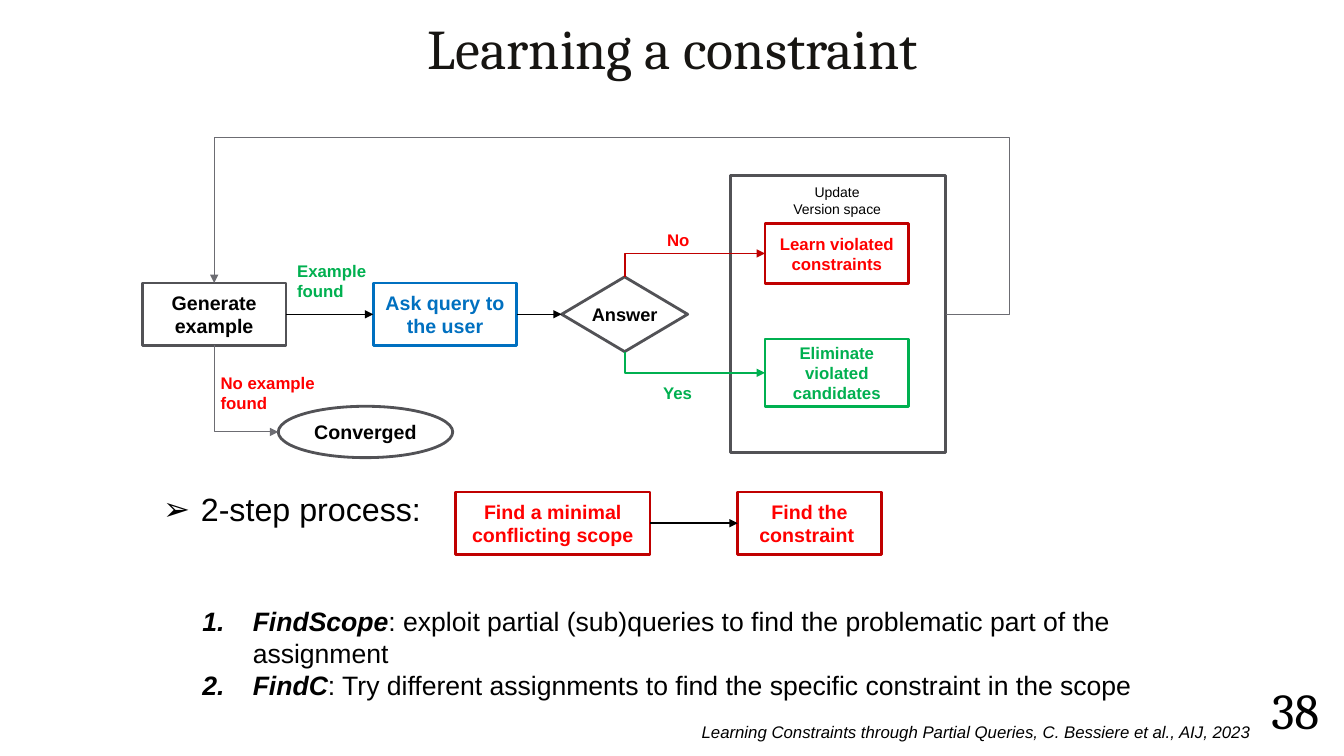
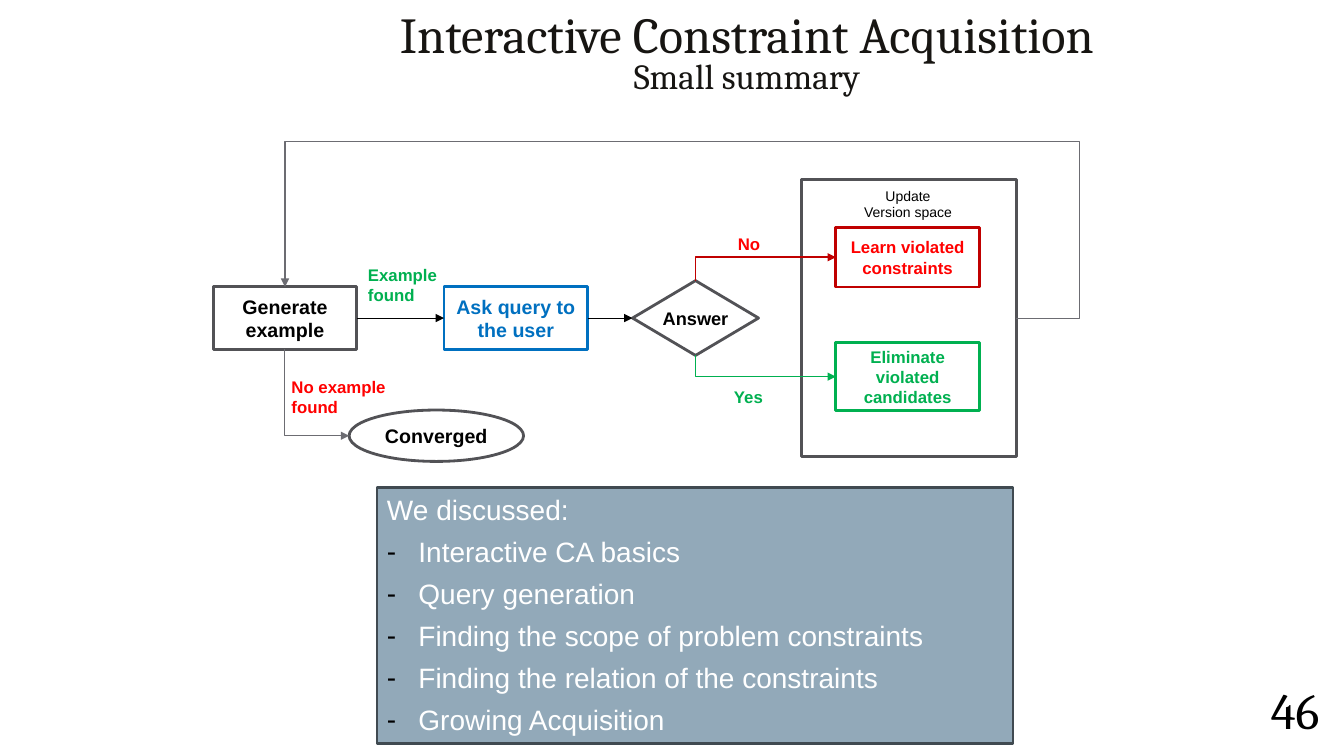
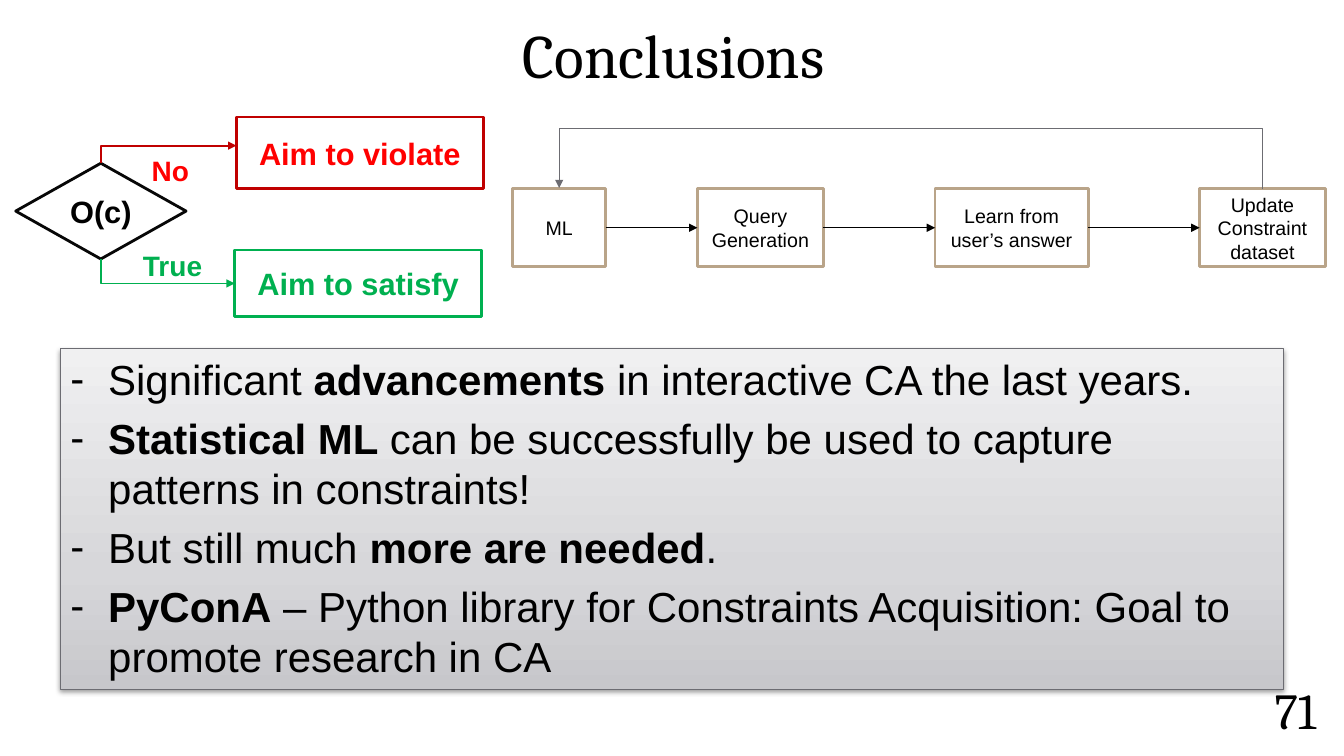
from copy import deepcopy
from dataclasses import dataclass
from itertools import pairwise
from typing import NamedTuple

from lxml.etree import SubElement as Sub
from pptx import Presentation
from pptx.dml.color import RGBColor as RGB
from pptx.enum.shapes import MSO_CONNECTOR as Link, MSO_SHAPE as Form
from pptx.enum.text import MSO_ANCHOR as Anchor, MSO_AUTO_SIZE as Fit, PP_ALIGN as Align
from pptx.oxml.ns import qn
from pptx.util import Pt

# Shared colours and faces
BLACK = RGB(0x00, 0x00, 0x00)
WHITE = RGB(0xFF, 0xFF, 0xFF)
INK = RGB(0x17, 0x15, 0x12)
COAL = RGB(0x07, 0x07, 0x07)
GRAY = RGB(0x52, 0x52, 0x56)
SMOKE = RGB(0x6C, 0x6C, 0x72)
BLUE = RGB(0x00, 0x70, 0xC0)
RED = RGB(0xFF, 0x00, 0x00)
WINE = RGB(0xC0, 0x00, 0x00)
GREEN = RGB(0x00, 0xB0, 0x50)
SAND = RGB(0xB9, 0xA4, 0x89)
STEEL = RGB(0x92, 0xA9, 0xB9)
SLATE = RGB(0x40, 0x4A, 0x51)
SHADES = ((0, RGB(0xC7, 0xC7, 0xCB)), (0.35, RGB(0xD7, 0xD7, 0xDA)), (1, RGB(0xF0, 0xF0, 0xF1)))
SANS, SERIF = "Arial", "Cambria"

TOP, LEFT, BASE, RIGHT = range(4)


class Area(NamedTuple):
    x: float
    y: float
    w: float
    h: float

    def move(self, dx: float, dy: float) -> "Area":
        return Area(self.x + dx, self.y + dy, self.w, self.h)


class Run(NamedTuple):
    text: str
    bold: bool = False
    slant: bool = False
    size: float = 0


class Style(NamedTuple):
    size: float
    color: RGB = BLACK
    bold: bool = False
    slant: bool = False
    face: str = SANS
    align: Align = Align.LEFT
    space: float = 1
    after: float = 0


class Mark(NamedTuple):
    indent: float
    sign: str = ""  # an empty sign means automatic numbers


@dataclass(frozen=True)
class Node:
    text: str
    area: Area
    line: RGB
    style: Style
    form: Form = Form.RECTANGLE
    fill: RGB | None = None
    wrap: bool = True


@dataclass(frozen=True)
class Label:
    text: str
    area: Area
    style: Style


@dataclass(frozen=True)
class Bend:
    preset: str
    turn: int
    flips: str
    adjust: tuple[float, ...] = ()


UP_RIGHT = Bend("bentConnector2", 90, "HV")
DOWN_RIGHT = Bend("bentConnector2", 270, "H")
LOOP = Bend("bentConnector4", 0, "HV", (-0.087, 5.65))
BACK = Bend("bentConnector3", 270, "V", (43.7,))


def bold(size: float, color: RGB = BLACK) -> Style:
    return Style(size, color, bold=True, align=Align.CENTER)


def tag(size: float, color: RGB) -> Style:
    return Style(size, color, bold=True)


# Text
def plain(text: str) -> list[list[Run]]:
    return [[Run(line)] for line in text.split("\n")]


def bullet(para, mark: Mark) -> None:
    props = para._p.get_or_add_pPr()
    props.set("marL", str(Pt(mark.indent)))
    props.set("indent", str(-Pt(mark.indent)))
    Sub(Sub(props, qn("a:buClr")), qn("a:srgbClr"), val=str(BLACK))
    Sub(props, qn("a:buFont"), typeface=SANS)
    if mark.sign:
        Sub(props, qn("a:buChar"), char=mark.sign)
    else:
        Sub(props, qn("a:buAutoNum"), type="arabicPeriod")


def write(frame, lines: list[list[Run]], style: Style, mark: Mark | None = None,
          skip: int = 0) -> None:
    for i, runs in enumerate(lines):
        para = frame.add_paragraph() if i else frame.paragraphs[0]
        if mark and i >= skip:
            bullet(para, mark)
        para.alignment = style.align
        para.line_spacing = style.space
        para.space_before = Pt(0)
        para.space_after = Pt(style.after)
        for item in runs:
            run = para.add_run()
            run.text = item.text
            font = run.font
            font.name = style.face
            font.size = Pt(item.size or style.size)
            font.color.rgb = style.color
            font.bold = style.bold or item.bold
            font.italic = style.slant or item.slant


def place(shape, area: Area) -> None:
    shape.left, shape.top, shape.width, shape.height = map(Pt, area)


def pad(frame, x: float, y: float) -> None:
    frame.margin_left = frame.margin_right = Pt(x)
    frame.margin_top = frame.margin_bottom = Pt(y)


def text_box(slide, area: Area, lines: list[list[Run]], style: Style,
             mark: Mark | None = None, wrap: bool = True):
    frame = slide.shapes.add_textbox(*map(Pt, area)).text_frame
    frame.word_wrap = wrap
    frame.auto_size = Fit.SHAPE_TO_FIT_TEXT
    write(frame, lines, style, mark)
    return frame


# Shapes
def draw(slide, node: Node):
    shape = slide.shapes.add_shape(node.form, *map(Pt, node.area))
    shape.shadow.inherit = False
    if node.fill is None:
        shape.fill.background()
    else:
        shape.fill.solid()
        shape.fill.fore_color.rgb = node.fill
    shape.line.color.rgb = node.line
    shape.line.width = Pt(2)
    frame = shape.text_frame
    frame.word_wrap = node.wrap
    frame.vertical_anchor = Anchor.MIDDLE
    if node.text:
        write(frame, plain(node.text), node.style)
    return shape


def panel(slide, area: Area, line: RGB, fill: RGB | None, lines: list[list[Run]],
          style: Style, mark: Mark, skip: int = 0):
    shape = draw(slide, Node("", area, line, style, fill=fill))
    shape.text_frame.vertical_anchor = Anchor.TOP
    write(shape.text_frame, lines, style, mark, skip)
    return shape


def shade(shape) -> None:
    fill = shape.fill
    fill.gradient()
    fill.gradient_angle = 90
    stops = shape.element.spPr.find(qn("a:gradFill")).find(qn("a:gsLst"))
    stops.append(deepcopy(stops[0]))
    for stop, (place_at, color) in zip(fill.gradient_stops, SHADES):
        stop.position = place_at
        stop.color.rgb = color
    effects = shape.element.spPr.find(qn("a:effectLst"))
    cast = Sub(effects, qn("a:outerShdw"), blurRad=str(Pt(3.1)), dist=str(Pt(1.6)),
               dir="5400000", rotWithShape="0")
    Sub(Sub(cast, qn("a:srgbClr"), val=str(BLACK)), qn("a:alpha"), val="38000")


# Connectors
def finish(link, color: RGB, width: float) -> None:
    link.line.color.rgb = color
    link.line.width = Pt(width)
    props = link.element.spPr
    Sub(props.find(qn("a:ln")), qn("a:tailEnd"), type="triangle")
    Sub(props, qn("a:effectLst"))


def arrow(slide, start, end, width: float = 0.75) -> None:
    link = slide.shapes.add_connector(Link.STRAIGHT, 0, 0, 0, 0)
    link.begin_connect(start, RIGHT)
    link.end_connect(end, LEFT)
    finish(link, BLACK, width)


def middle(shape, side: int) -> tuple[int, int]:
    x = {LEFT: 0, RIGHT: shape.width}.get(side, shape.width // 2)
    y = {TOP: 0, BASE: shape.height}.get(side, shape.height // 2)
    return shape.left + x, shape.top + y


def bend(slide, start, out: int, end, into: int, kind: Bend, color: RGB,
         width: float = 1.25, lift: float = 0) -> None:
    (x1, y1), (x2, y2) = middle(start, out), middle(end, into)
    y2 -= Pt(lift)
    link = slide.shapes.add_connector(Link.ELBOW, x1, y1, x2, y2)
    link.begin_connect(start, out)
    if not lift:
        oval = end.auto_shape_type == Form.OVAL  # an oval has eight sites
        link.end_connect(end, into * 2 if oval else into)
    # The box is laid out before turning, around the same centre
    w, h = abs(x2 - x1), max(abs(y2 - y1), Pt(1))
    if kind.turn % 180:
        w, h = h, w
    link.left, link.top = (x1 + x2 - w) // 2, (y1 + y2 - h) // 2
    link.width, link.height = w, h
    frame = link.element.spPr.find(qn("a:xfrm"))
    frame.set("rot", str(kind.turn * 60000))
    for axis in "HV":
        frame.set("flip" + axis, str(int(axis in kind.flips)))
    shape = link.element.spPr.find(qn("a:prstGeom"))
    shape.set("prst", kind.preset)
    guides = shape.find(qn("a:avLst"))
    for i, value in enumerate(kind.adjust, 1):
        Sub(guides, qn("a:gd"), name=f"adj{i}", fmla=f"val {round(value * 100000)}")
    finish(link, color, width)


# Slide base: title and page number
def base(deck, area: Area, lines: list[list[Run]], style: Style, page: str):
    slide = deck.slides.add_slide(deck.slide_layouts[5])
    title = slide.shapes.title
    place(title, area)
    frame = title.text_frame
    frame.word_wrap = True
    frame.auto_size = Fit.NONE
    frame.vertical_anchor = Anchor.BOTTOM
    pad(frame, 7.2, 3.6)
    write(frame, lines, style)
    number = text_box(slide, Area(889.2, 486, 72, 46.8), plain(page),
                      Style(36, face=SERIF, align=Align.CENTER, space=0.9))
    number.auto_size = Fit.NONE
    number.vertical_anchor = Anchor.MIDDLE
    pad(number, 3.6, 3.6)
    return slide


def head(size: float, color: RGB = INK, space: float = 0.9) -> Style:
    return Style(size, color, face=SERIF, align=Align.CENTER, space=space)


# Acquisition loop, used on two slides
STEP_W, STEP_H = 102.6, 44.6
NODES = {
    "make": Node("Generate example", Area(101.7, 202.2, STEP_W, STEP_H), GRAY, bold(14)),
    "ask": Node("Ask query to the user", Area(266.6, 202.2, STEP_W, STEP_H), BLUE, bold(14, BLUE)),
    "reply": Node("Answer", Area(401.2, 197.8, 90, 53.4), GRAY, bold(13), Form.DIAMOND, wrap=False),
    "learn": Node("Learn violated constraints", Area(546.5, 159.8, STEP_W, 42.5), WINE, bold(12, RED)),
    "drop": Node("Eliminate violated candidates", Area(546.5, 242.2, STEP_W, 48.2), GREEN,
                 bold(12, GREEN)),
    "done": Node("Converged", Area(198.8, 290.2, 124.6, 36.7), GRAY, bold(14), Form.OVAL),
    "space": Node("", Area(522, 125.5, 153.4, 198), GRAY, bold(10)),
}
LABELS = (
    Label("Update\nVersion space", Area(558.7, 127.4, 78.5, 31.7), Style(10, align=Align.CENTER)),
    Label("No", Area(469.4, 160.6, 31, 21.6), tag(12, RED)),
    Label("Yes", Area(466.6, 270, 36, 21.6), tag(12, GREEN)),
    Label("No example\nfound", Area(150.5, 262.8, 82.8, 36), tag(12, RED)),
    Label("Example\nfound", Area(205.2, 182.9, 64, 36), tag(12, GREEN)),
)


def put_tags(slide, labels: tuple[Label, ...], dx: float = 0, dy: float = 0) -> None:
    for label in labels:
        text_box(slide, label.area.move(dx, dy), plain(label.text), label.style, wrap=False)


def cycle(slide, dx: float = 0, dy: float = 0) -> None:
    box = {}
    for key, node in NODES.items():
        box[key] = draw(slide, Node(node.text, node.area.move(dx, dy), node.line, node.style,
                                    node.form, node.fill, node.wrap))
    put_tags(slide, LABELS, dx, dy)
    arrow(slide, box["make"], box["ask"])
    arrow(slide, box["ask"], box["reply"])
    bend(slide, box["reply"], TOP, box["learn"], LEFT, UP_RIGHT, WINE)
    bend(slide, box["reply"], BASE, box["drop"], LEFT, DOWN_RIGHT, GREEN)
    bend(slide, box["space"], RIGHT, box["make"], TOP, LOOP, SMOKE, 0.75)
    bend(slide, box["make"], BASE, box["done"], LEFT, DOWN_RIGHT, SMOKE, 0.75)


# Slides
def learning(deck) -> None:
    slide = base(deck, Area(0, 0.7, 961, 61.2), plain("Learning a constraint"), head(40), "38")
    cycle(slide)
    scope, rule = (
        draw(slide, Node(text, Area(x, 351.4, w, STEP_H), WINE, bold(14, RED)))
        for text, x, w in (("Find a minimal conflicting scope", 325.4, 139),
                           ("Find the constraint ", 527, STEP_W)))
    arrow(slide, scope, rule, 1.25)
    text_box(slide, Area(109.4, 346.3, 200.2, 35.3), plain("2-step process:"), Style(23),
             Mark(27, "➢"), wrap=False)
    text_box(slide, Area(137.5, 428.4, 686.2, 76.3), [
        [Run("FindScope", True, True),
         Run(": exploit partial (sub)queries to find the problematic part of the assignment")],
        [Run("FindC", True, True),
         Run(": Try different assignments to find the specific constraint in the scope")],
    ], Style(19), Mark(36))
    text_box(slide, Area(221, 511.9, 679.7, 21.6),
             plain("Learning Constraints through Partial Queries, C. Bessiere et al., AIJ, 2023"),
             Style(12, slant=True, align=Align.RIGHT))


def summary(deck) -> None:
    slide = base(deck, Area(177.8, 0.7, 711.4, 72),
                 [[Run("Interactive Constraint Acquisition")], [Run("Small summary", size=25.2)]],
                 head(36, space=0.8), "46")
    cycle(slide, 50.6, 2.7)
    panel(slide, Area(269.3, 348.5, 454.3, 182.9), SLATE, STEEL, plain(
        "We discussed:\nInteractive CA basics\nQuery generation\n"
        "Finding the scope of problem constraints\n"
        "Finding the relation of the constraints\nGrowing Acquisition"),
        Style(20, WHITE, after=6), Mark(22.5, "-"), skip=1)


def closing(deck) -> None:
    slide = base(deck, Area(191.5, 0.7, 579.6, 68.4), plain("Conclusions"), head(44, BLACK), "71")

    # Oracle choice
    test = draw(slide, Node("O(c)", Area(11.2, 116.6, 121.7, 68.4), COAL, bold(22), Form.DIAMOND,
                            wrap=False))
    deny = draw(slide, Node("Aim to violate", Area(168.8, 83.5, 176.4, 51.1), WINE, bold(22, RED)))
    meet = draw(slide, Node("Aim to satisfy", Area(167.6, 178.6, 176.4, 47.8), GREEN, bold(22, GREEN)))
    bend(slide, test, BASE, meet, LEFT, DOWN_RIGHT, GREEN)
    bend(slide, test, TOP, deny, LEFT, UP_RIGHT, WINE, lift=5)
    put_tags(slide, (Label("True", Area(95, 174.2, 56.9, 31.7), tag(20, GREEN)),
                     Label("No", Area(101.2, 105.8, 41.8, 31.7), tag(20, RED))))

    # Learning chain
    chain = [draw(slide, Node(text, Area(x, 134.9, w, 55.6), SAND,
                              Style(14, align=Align.CENTER), fill=WHITE))
             for text, x, w in (("ML", 366.2, 66.5), ("Query\nGeneration", 498.2, 90),
                                ("Learn from user’s answer", 667.9, 109.4),
                                ("Update Constraint dataset", 856.8, 90))]
    for start, end in pairwise(chain):
        arrow(slide, start, end)
    bend(slide, chain[-1], TOP, chain[0], TOP, BACK, SMOKE, 0.75)

    # Closing points
    board = panel(slide, Area(43.2, 249.1, 873.4, 243.4), SMOKE, None, [
        [Run("Significant "), Run("advancements", True), Run(" in interactive CA the last years.")],
        [Run("Statistical ML ", True),
         Run("can be successfully be used to capture patterns in constraints!")],
        [Run("But still much "), Run("more are needed", True), Run(".")],
        [Run("PyConA", True),
         Run(" – Python library for Constraints Acquisition: Goal to promote research in CA")],
    ], Style(30, after=6), Mark(27, "-"))
    board.line.width = Pt(0.75)
    shade(board)


def main() -> None:
    deck = Presentation()
    deck.slide_width, deck.slide_height = Pt(960), Pt(540)
    for build in (learning, summary, closing):
        build(deck)
    deck.save("out.pptx")


if __name__ == "__main__":
    main()
